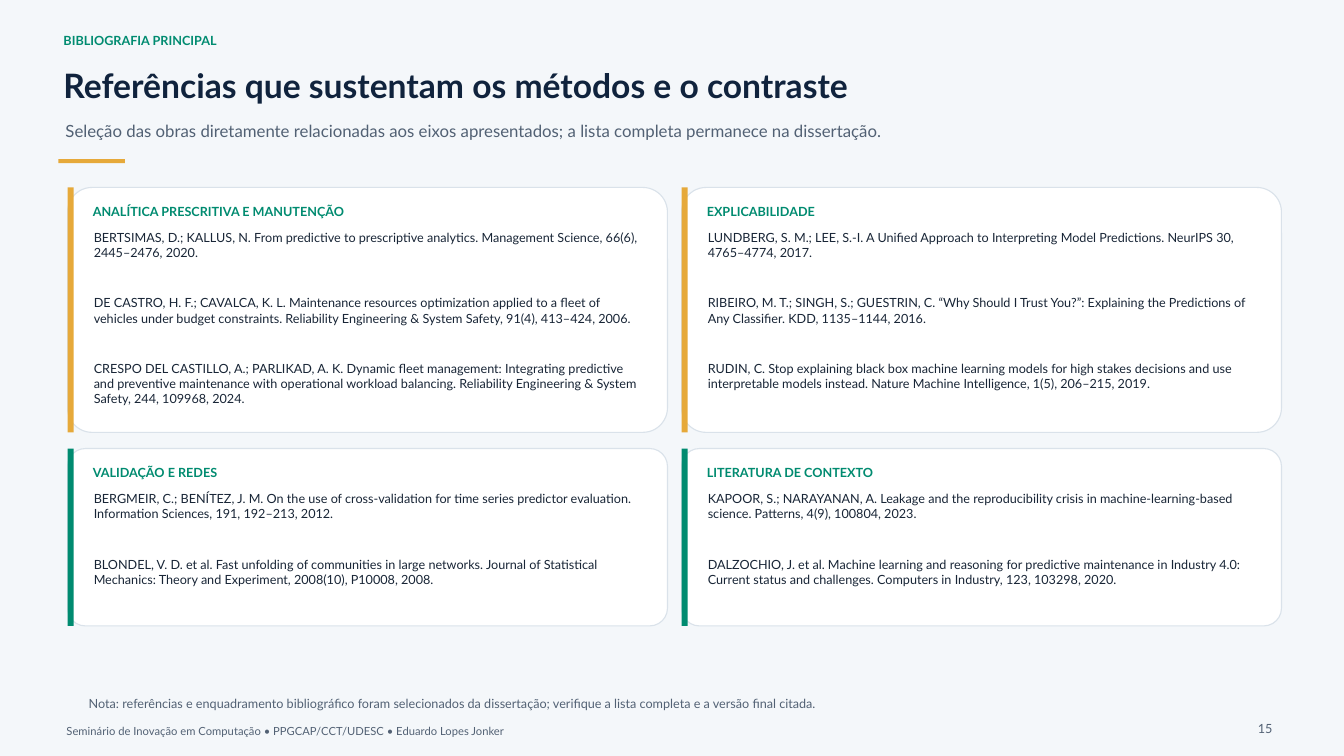
from dataclasses import dataclass
from pptx import Presentation
from pptx.dml.color import RGBColor as Rgb
from pptx.enum.shapes import MSO_SHAPE as Kind
from pptx.enum.text import MSO_ANCHOR as Anchor, MSO_AUTO_SIZE as Fit, PP_ALIGN as Align
from pptx.util import Pt


@dataclass(frozen=True)
class Theme:
    font: str = "Lato"
    back: str = "F4F7FA"
    card: str = "FFFFFF"
    edge: str = "DAE2EA"
    ink: str = "182536"
    navy: str = "10233D"
    gray: str = "526174"
    green: str = "008B70"
    gold: str = "E6A93A"
    big: int = 24
    mid: int = 12
    small: int = 9
    tiny: int = 8


T = Theme()

CARDS = [
    [
        ("ANALÍTICA PRESCRITIVA E MANUTENÇÃO", [
            "BERTSIMAS, D.; KALLUS, N. From predictive to prescriptive analytics. Management Science, 66(6), 2445–2476, 2020.",
            "DE CASTRO, H. F.; CAVALCA, K. L. Maintenance resources optimization applied to a fleet of vehicles under budget constraints. Reliability Engineering & System Safety, 91(4), 413–424, 2006.",
            "CRESPO DEL CASTILLO, A.; PARLIKAD, A. K. Dynamic fleet management: Integrating predictive and preventive maintenance with operational workload balancing. Reliability Engineering & System Safety, 244, 109968, 2024.",
        ]),
        ("VALIDAÇÃO E REDES", [
            "BERGMEIR, C.; BENÍTEZ, J. M. On the use of cross-validation for time series predictor evaluation. Information Sciences, 191, 192–213, 2012.",
            "BLONDEL, V. D. et al. Fast unfolding of communities in large networks. Journal of Statistical Mechanics: Theory and Experiment, 2008(10), P10008, 2008.",
        ]),
    ],
    [
        ("EXPLICABILIDADE", [
            "LUNDBERG, S. M.; LEE, S.-I. A Unified Approach to Interpreting Model Predictions. NeurIPS 30, 4765–4774, 2017.",
            "RIBEIRO, M. T.; SINGH, S.; GUESTRIN, C. “Why Should I Trust You?”: Explaining the Predictions of Any Classifier. KDD, 1135–1144, 2016.",
            "RUDIN, C. Stop explaining black box machine learning models for high stakes decisions and use interpretable models instead. Nature Machine Intelligence, 1(5), 206–215, 2019.",
        ]),
        ("LITERATURA DE CONTEXTO", [
            "KAPOOR, S.; NARAYANAN, A. Leakage and the reproducibility crisis in machine-learning-based science. Patterns, 4(9), 100804, 2023.",
            "DALZOCHIO, J. et al. Machine learning and reasoning for predictive maintenance in Industry 4.0: Current status and challenges. Computers in Industry, 123, 103298, 2020.",
        ]),
    ],
]


def write(slide, text, box, size=T.small, color=T.ink, bold=False, align=Align.LEFT):
    frame = slide.shapes.add_textbox(*map(Pt, box)).text_frame
    frame.word_wrap = True
    frame.auto_size = Fit.SHAPE_TO_FIT_TEXT
    frame.vertical_anchor = Anchor.TOP
    frame.margin_left = frame.margin_right = Pt(5.76)
    frame.margin_top = frame.margin_bottom = Pt(5.76)
    para = frame.paragraphs[0]
    para.alignment = align
    run = para.add_run()
    run.text = text
    font = run.font
    font.name, font.size, font.bold = T.font, Pt(size), bold
    font.color.rgb = Rgb.from_string(color)


def block(slide, box, fill, kind=Kind.RECTANGLE, edge=None):
    shape = slide.shapes.add_shape(kind, *map(Pt, box))
    shape.shadow.inherit = False
    shape.fill.solid()
    shape.fill.fore_color.rgb = Rgb.from_string(fill)
    if edge:
        shape.line.color.rgb = Rgb.from_string(edge)
        shape.line.width = Pt(0.8)
    else:
        shape.line.fill.background()
    return shape


def header(slide, box):
    x, y, w, h = box
    write(slide, "BIBLIOGRAFIA PRINCIPAL", (x, y, w, 17.28), color=T.green, bold=True)
    write(slide, "Referências que sustentam os métodos e o contraste",
          (x, y + 22.32, w, 37.44), size=T.big, color=T.navy, bold=True)
    write(slide, "Seleção das obras diretamente relacionadas aos eixos apresentados; a lista completa permanece na dissertação.",
          (x + 1.44, y + 62.64, w - 7.2, 27.36), size=T.mid, color=T.gray)
    block(slide, (x + 2.16, y + h - 2.88, 47.52, 2.88), T.gold)


def card(slide, box, title, refs, accent):
    x, y, w, h = box
    panel = block(slide, box, T.card, Kind.ROUNDED_RECTANGLE, T.edge)
    panel.adjustments[0] = 0.1
    block(slide, (x, y, 4.32, h), accent)
    write(slide, title, (x + 12.24, y + 6.48, w - 24.48, 14.4), color=T.green, bold=True)
    for i, ref in enumerate(refs):
        write(slide, ref, (x + 12.96, y + 24.48 + 46.8 * i, w - 25.92, 41.76))


def grid(slide, box):
    x, y, w, h = box
    wide = (w - 10.08) / 2
    top = 174.96
    low = top + 11.52
    rows = [(0, top, T.gold), (low, h - low, T.green)]
    for col, cards in enumerate(CARDS):
        left = x + col * (wide + 10.08)
        for (drop, tall, accent), (title, refs) in zip(rows, cards):
            card(slide, (left, y + drop, wide, tall), title, refs, accent)


def footer(slide, box):
    x, y, w, h = box
    write(slide, "Nota: referências e enquadramento bibliográfico foram selecionados da dissertação; verifique a lista completa e a versão final citada.",
          (x + 15.84, y, 835.2, 16.56), color=T.gray)
    write(slide, "Seminário de Inovação em Computação • PPGCAP/CCT/UDESC • Eduardo Lopes Jonker",
          (x, y + h - 14.4, 835.2, 14.4), size=T.tiny, color=T.gray)
    write(slide, "15", (x + w - 32.4, y + 18, 32.4, 14.4), color=T.gray, align=Align.RIGHT)


def main():
    deck = Presentation()
    deck.slide_width, deck.slide_height = Pt(959.76), Pt(540)
    slide = deck.slides.add_slide(deck.slide_layouts[6])
    slide.background.fill.solid()
    slide.background.fill.fore_color.rgb = Rgb.from_string(T.back)
    header(slide, (39.6, 18, 878.4, 98.64))
    grid(slide, (48.24, 133.92, 866.88, 313.2))
    footer(slide, (41.76, 491.76, 872.64, 35.28))
    deck.save("out.pptx")


if __name__ == "__main__":
    main()
